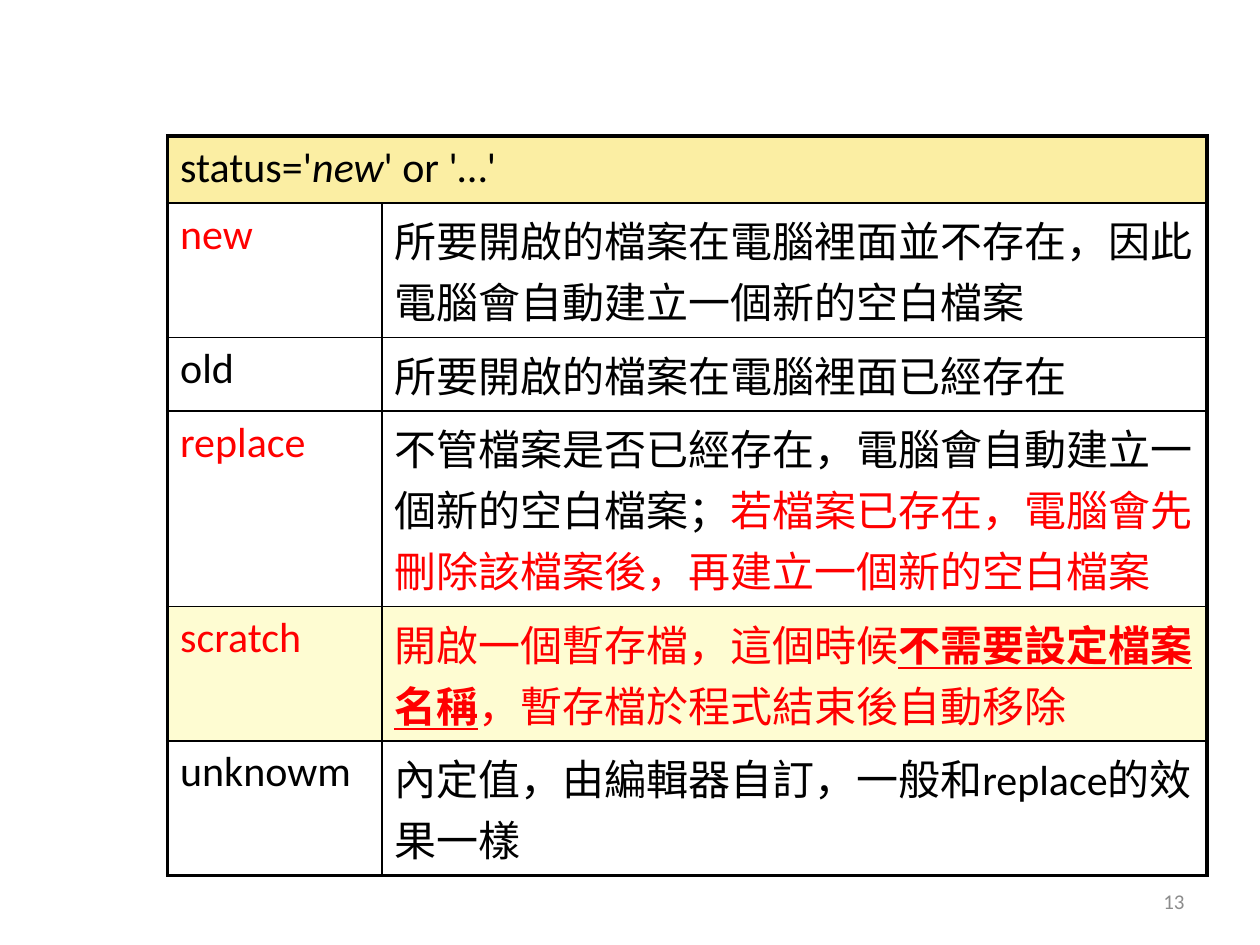
from lxml import etree
from pptx import Presentation
from pptx.dml.color import RGBColor
from pptx.enum.text import MSO_ANCHOR, PP_ALIGN
from pptx.oxml.ns import qn
from pptx.util import Inches, Pt

MIDDLE, TOP = MSO_ANCHOR.MIDDLE, MSO_ANCHOR.TOP
RIGHT = PP_ALIGN.RIGHT
FONT = "Calibri"
BLACK, RED, GRAY = "000000", "FF0000", "8C8C8C"
HEADER_FILL, HIGHLIGHT_FILL = "FBEEA3", "FEFCD2"
OUTER_WIDTH, INNER_WIDTH = 2.25, 1

# A run is (text, colour, styles): b bold, i italic, u underline
HEADER = [("status='", BLACK, ""), ("new", BLACK, "i"), ("' or '…'", BLACK, "")]

# (row height, row fill, keyword run, description runs)
STATUSES = [
    (0.97, None, ("new", RED, ""),
     [("所要開啟的檔案在電腦裡面並不存在，因此電腦會自動建立一個新的空白檔案", BLACK, "")]),
    (0.53, None, ("old", BLACK, ""),
     [("所要開啟的檔案在電腦裡面已經存在", BLACK, "")]),
    (1.3, None, ("replace", RED, ""),
     [("不管檔案是否已經存在，電腦會自動建立一個新的空白檔案；", BLACK, ""),
      ("若檔案已存在，電腦會先刪除該檔案後，再建立一個新的空白檔案", RED, "")]),
    (0.9, HIGHLIGHT_FILL, ("scratch", RED, ""),
     [("開啟一個暫存檔，這個時候", RED, ""),
      ("不需要設定檔案名稱", RED, "bu"),
      ("，暫存檔於程式結束後自動移除", RED, "")]),
    (0.95, None, ("unknowm", BLACK, ""),
     [("內定值，由編輯器自訂，一般和replace的效果一樣", BLACK, "")]),
]
HEADER_HEIGHT = 0.53
COLUMN_WIDTHS = [1.7, 6.55]
TABLE_LEFT, TABLE_TOP = 1.33, 1.08


def color(hex_value):
    return RGBColor.from_string(hex_value)


def add_runs(paragraph, runs, size):
    for text, hex_value, styles in runs:
        run = paragraph.add_run()
        run.text = text
        font = run.font
        font.name, font.size = FONT, Pt(size)
        font.color.rgb = color(hex_value)
        font.bold, font.italic, font.underline = (s in styles for s in "biu")


def set_space_before(paragraph, percent):
    """Set the space before as a share of the line, which python-pptx lacks."""
    space = etree.SubElement(paragraph._p.get_or_add_pPr(), qn("a:spcBef"))
    etree.SubElement(space, qn("a:spcPct"), val=str(percent * 1000))


def set_borders(cell, widths):
    """Draw left, right, top and bottom borders; they must precede the fill."""
    properties = cell._tc.get_or_add_tcPr()
    for position, (side, width) in enumerate(zip("LRTB", widths)):
        line = etree.Element(qn(f"a:ln{side}"), w=str(Pt(width)))
        fill = etree.SubElement(line, qn("a:solidFill"))
        etree.SubElement(fill, qn("a:srgbClr"), val=BLACK)
        properties.insert(position, line)


def format_cell(cell, fill, at_edges):
    if fill:
        cell.fill.solid()
        cell.fill.fore_color.rgb = color(fill)
    else:
        cell.fill.background()
    set_borders(cell, [OUTER_WIDTH if edge else INNER_WIDTH for edge in at_edges])


def write_cell(cell, runs, anchor):
    cell.vertical_anchor = anchor
    paragraph = cell.text_frame.paragraphs[0]
    set_space_before(paragraph, 20)
    add_runs(paragraph, runs, 24)


def add_status_table(slide):
    heights = [HEADER_HEIGHT] + [status[0] for status in STATUSES]
    fills = [HEADER_FILL] + [status[1] for status in STATUSES]
    row_count, column_count = len(heights), len(COLUMN_WIDTHS)
    table = slide.shapes.add_table(
        row_count, column_count, Inches(TABLE_LEFT), Inches(TABLE_TOP),
        Inches(sum(COLUMN_WIDTHS)), Inches(sum(heights))).table
    table.horz_banding = False
    for column, width in zip(table.columns, COLUMN_WIDTHS):
        column.width = Inches(width)
    for row, height in zip(table.rows, heights):
        row.height = Inches(height)

    header = table.cell(0, 0)
    header.merge(table.cell(0, column_count - 1))
    for r in range(row_count):
        for c in range(column_count):
            spans_row = r == 0
            at_edges = (c == 0, spans_row or c == column_count - 1,
                        r == 0, r == row_count - 1)
            format_cell(table.cell(r, c), fills[r], at_edges)

    write_cell(header, HEADER, TOP)
    for r, (_, _, keyword, description) in enumerate(STATUSES, start=1):
        write_cell(table.cell(r, 0), [keyword], TOP)
        write_cell(table.cell(r, 1), description, MIDDLE)


def add_page_number(slide, number):
    box = slide.shapes.add_textbox(Inches(7.17), Inches(6.95), Inches(2.33), Inches(0.4))
    frame = box.text_frame
    frame.word_wrap = True
    frame.vertical_anchor = MIDDLE
    paragraph = frame.paragraphs[0]
    paragraph.alignment = RIGHT
    add_runs(paragraph, [(number, GRAY, "")], 12)


def main():
    presentation = Presentation()
    presentation.slide_width, presentation.slide_height = Inches(10), Inches(7.5)
    slide = presentation.slides.add_slide(presentation.slide_layouts.get_by_name("Blank"))
    add_status_table(slide)
    add_page_number(slide, "13")
    presentation.save("out.pptx")


if __name__ == "__main__":
    main()
